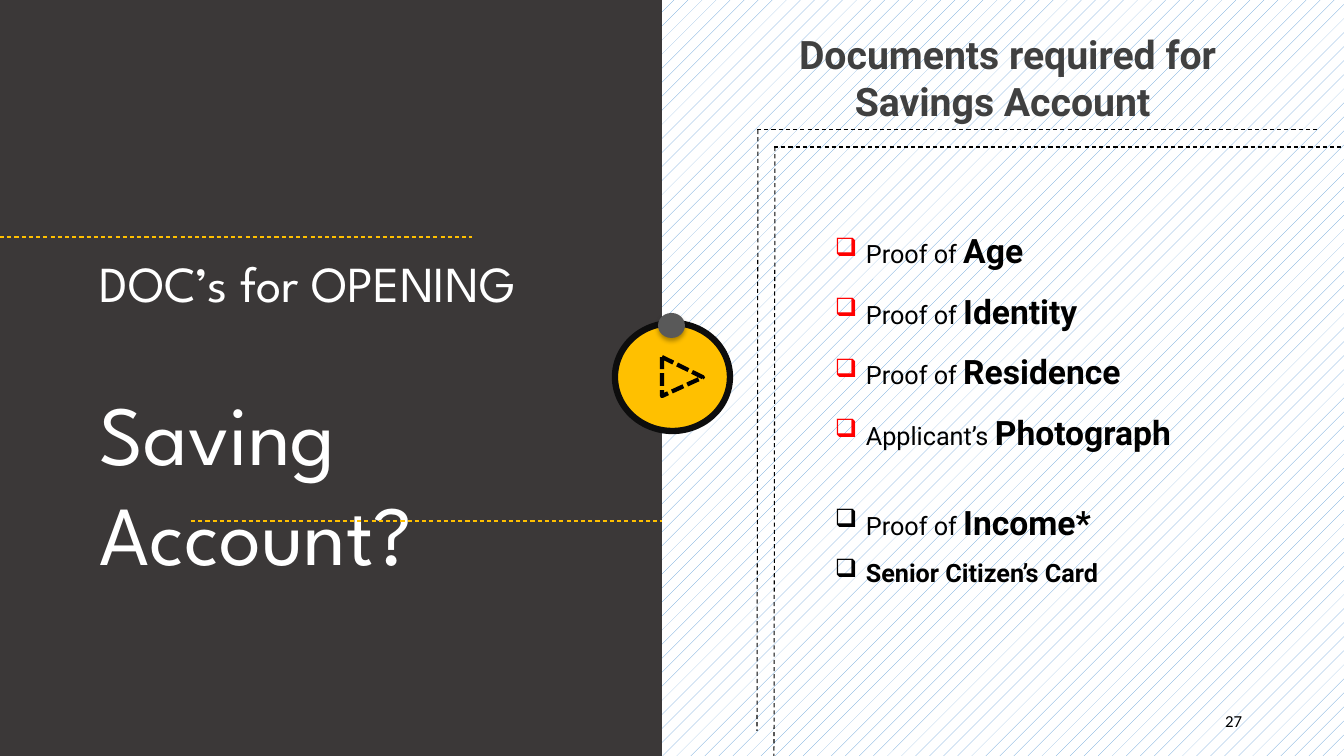
import pptx
import pptx.util
import pptx.dml.color
import pptx.enum.dml
import pptx.enum.shapes
import pptx.enum.text
import pptx.oxml
import pptx.oxml.ns
from dataclasses import dataclass

Dash = pptx.enum.dml.MSO_LINE
Shape = pptx.enum.shapes.MSO_SHAPE
Align = pptx.enum.text.PP_ALIGN
Anchor = pptx.enum.text.MSO_ANCHOR

SLIDE_SIZE = (1344, 756)
EMU_PER_PX = 914400 / 100.8

PANEL = (0, 0, 662, 756)
BADGE = (615, 323, 115, 108)
ARROW = (663, 356, 39, 41)
PIN = (658, 313, 27, 25)

QUESTION_BOX = (90, 247, 458, 275)
QUESTION = [("DOC’s for OPENING", 36, 0), ("Saving Account?", 60, 49)]

HEADING_BOX = (717, 25, 581, 105)
HEADING = "Documents required for Savings Account "

LIST_BOX = (825, 205, 454, 392)
DOCUMENTS = [
    ("Proof of ", "Age", "red", 0),
    ("Proof of ", "Identity", "red", 0),
    ("Proof of ", "Residence", "red", 0),
    ("Applicant’s ", "Photograph", "red", 0),
    ("Proof of ", "Income*", "black", 21),
    ("", "Senior Citizen’s Card", "black", 0),
]
BULLET = "❑"
BULLET_INDENT = 31

NUMBER_BOX = (950, 701, 302, 40)
NUMBER = "27"

RULES = [
    ((191, 521), (662, 521), "gold"),
    ((0, 237), (472, 237), "gold"),
    ((758, 130), (757, 731), "black"),
    ((775, 147), (774, 756), "black"),
    ((774, 147), (1344, 147), "black"),
    ((757, 130), (1320, 130), "black"),
]


@dataclass(frozen=True)
class Theme:
    panel: str = "3B3838"
    gold: str = "FFC000"
    ring: str = "0D0D0D"
    pin: str = "595959"
    heading: str = "404040"
    black: str = "000000"
    white: str = "FFFFFF"
    hatch: str = "5B9BD5"
    red: str = "FF0000"
    display_font: str = "League Spartan"
    body_font: str = "Roboto"
    number_font: str = "Calibri"
    heading_size: int = 28
    body_size: int = 18
    strong_size: int = 24
    number_size: int = 12


THEME = Theme()


def px(length):
    return pptx.util.Emu(round(length * EMU_PER_PX))


def rgb(color):
    return pptx.dml.color.RGBColor.from_string(color)


def add_xml(parent, markup):
    declaration = pptx.oxml.ns.nsdecls("a")
    head, rest = markup.split(">", 1)
    closing = "/" if head.endswith("/") else ""
    head = head.rstrip("/")
    parent.append(pptx.oxml.parse_xml(f"{head} {declaration}{closing}>{rest}"))


def add_figure(page, kind, frame, fill=None, line=None, weight=0):
    figure = page.shapes.add_shape(kind, *map(px, frame))
    figure.shadow.inherit = False
    if fill:
        figure.fill.solid()
        figure.fill.fore_color.rgb = rgb(fill)
    else:
        figure.fill.background()
    if line:
        figure.line.color.rgb = rgb(line)
        figure.line.width = pptx.util.Pt(weight)
    else:
        figure.line.fill.background()
    return figure


def add_box(page, frame, grow=True):
    box = page.shapes.add_textbox(*map(px, frame))
    box.text_frame.word_wrap = True
    if grow:
        box.text_frame.auto_size = pptx.enum.text.MSO_AUTO_SIZE.SHAPE_TO_FIT_TEXT
    return box.text_frame


def next_para(frame, index):
    return frame.add_paragraph() if index else frame.paragraphs[0]


def style(font, name, size, color, bold=False):
    font.name = name
    font.size = pptx.util.Pt(size)
    font.color.rgb = rgb(color)
    font.bold = bold


def add_rule(page, start, end, color):
    rule = page.shapes.add_connector(
        pptx.enum.shapes.MSO_CONNECTOR.STRAIGHT, *map(px, start + end))
    rule.line.color.rgb = rgb(getattr(THEME, color))
    rule.line.width = pptx.util.Pt(0.75)
    rule.line.dash_style = Dash.DASH
    add_xml(rule._element.spPr, "<a:effectLst/>")


def add_badge(page):
    add_figure(page, Shape.OVAL, BADGE, THEME.gold, THEME.ring, 4.5)
    arrow = add_figure(page, Shape.ISOSCELES_TRIANGLE, ARROW, None, THEME.black, 3)
    arrow.adjustments[0] = 0.52
    arrow.rotation = 90
    arrow.line.dash_style = Dash.SQUARE_DOT
    pin = add_figure(page, Shape.OVAL, PIN, THEME.pin)
    effects = pin._element.spPr.find(pptx.oxml.ns.qn("a:effectLst"))
    blur, distance = pptx.util.Pt(3.5), pptx.util.Pt(2.2)
    add_xml(effects, f'<a:outerShdw blurRad="{blur}" dist="{distance}" dir="5400000">'
                     f'<a:srgbClr val="{THEME.black}"><a:alpha val="32000"/>'
                     '</a:srgbClr></a:outerShdw>')


def add_question(page):
    frame = add_box(page, QUESTION_BOX)
    for index, (text, size, gap) in enumerate(QUESTION):
        para = next_para(frame, index)
        para.text = text
        para.space_before = pptx.util.Pt(gap)
        style(para.runs[0].font, THEME.display_font, size, THEME.white)


def add_single(page, box, text, align, *look, grow=True):
    frame = add_box(page, box, grow)
    frame.text = text
    para = frame.paragraphs[0]
    para.alignment = align
    style(para.runs[0].font, *look)
    return frame


def add_documents(page):
    frame = add_box(page, LIST_BOX)
    for index, (lead, strong, bullet, gap) in enumerate(DOCUMENTS):
        para = next_para(frame, index)
        para.line_spacing = 1.5
        para.space_before = pptx.util.Pt(gap)
        properties = para._p.get_or_add_pPr()
        properties.set("marL", str(px(BULLET_INDENT)))
        properties.set("indent", str(-px(BULLET_INDENT)))
        add_xml(properties, f'<a:buClr><a:srgbClr val="{getattr(THEME, bullet)}"/></a:buClr>')
        add_xml(properties, f'<a:buChar char="{BULLET}"/>')
        strong_size = THEME.strong_size if lead else THEME.body_size
        for text, size, bold in ((lead, THEME.body_size, False), (strong, strong_size, True)):
            if text:
                span = para.add_run()
                span.text = text
                style(span.font, THEME.body_font, size, THEME.black, bold)


def main():
    deck = pptx.Presentation()
    deck.slide_width, deck.slide_height = map(px, SLIDE_SIZE)
    page = deck.slides.add_slide(deck.slide_layouts[6])
    backdrop = page.background.fill
    backdrop.patterned()
    backdrop.pattern = pptx.enum.dml.MSO_PATTERN.PERCENT_5
    backdrop.fore_color.rgb = rgb(THEME.hatch)
    backdrop.back_color.rgb = rgb(THEME.white)

    add_figure(page, Shape.RECTANGLE, PANEL, THEME.panel)
    number = add_single(page, NUMBER_BOX, NUMBER, Align.RIGHT, THEME.number_font,
                        THEME.number_size, THEME.black, grow=False)
    number.vertical_anchor = Anchor.MIDDLE
    add_question(page)
    add_badge(page)
    for rule in RULES:
        add_rule(page, *rule)
    add_single(page, HEADING_BOX, HEADING, Align.CENTER, THEME.body_font,
               THEME.heading_size, THEME.heading, True)
    add_documents(page)
    deck.save("out.pptx")


if __name__ == "__main__":
    main()
